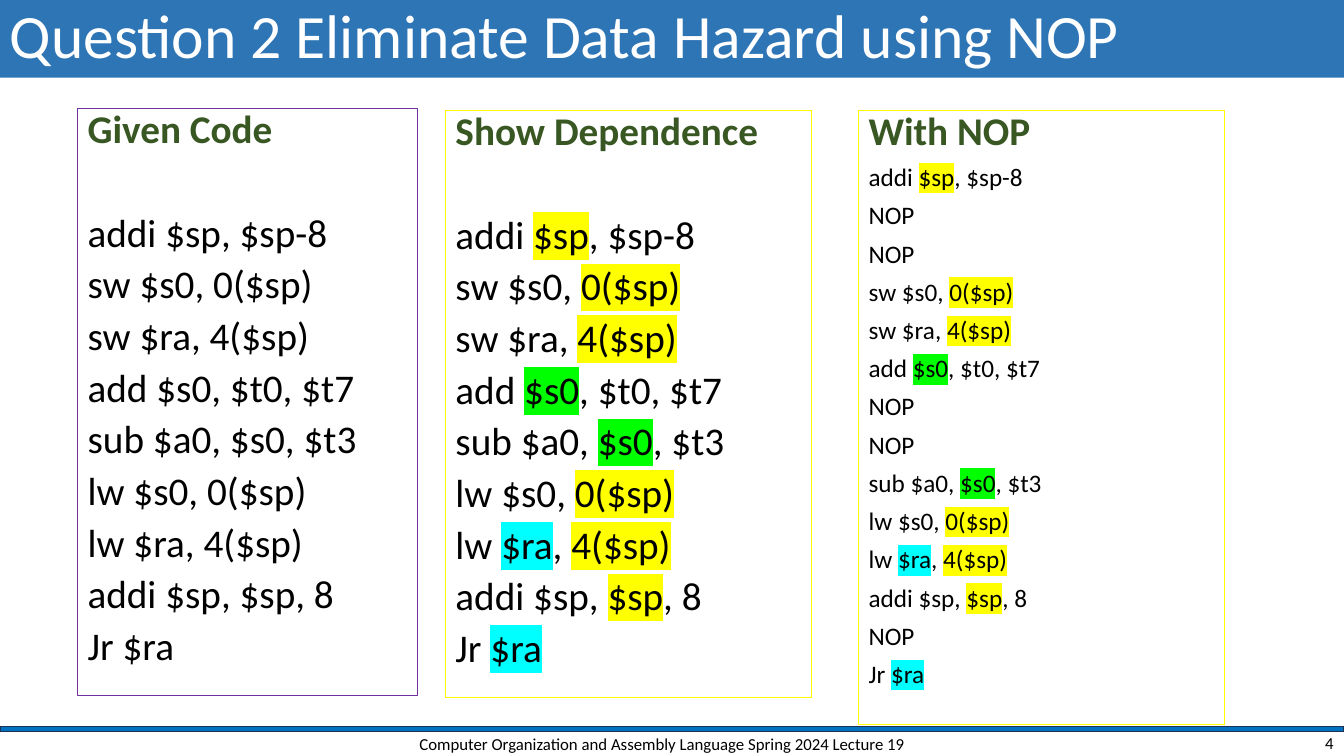
from pptx import Presentation
from pptx.dml.color import RGBColor
from pptx.enum.shapes import MSO_SHAPE
from pptx.enum.text import MSO_ANCHOR, PP_ALIGN
from pptx.oxml import parse_xml
from pptx.oxml.ns import nsdecls
from pptx.util import Cm, Pt

THEME = {
    "font": "Calibri", "title_size": 44, "code_size": 28, "nop_size": 18, "footer_size": 12,
    "title_fill": "2E75B6", "title_text": "FFFFFF", "heading": "385723", "text": "000000",
    "rule": "0070C0", "rule_line": "1E3256", "given_line": "7030A0", "answer_line": "FFFF00",
    "marks": {"y": "FFFF00", "g": "00FF00", "c": "00FFFF"},
}


def add_box(s, at, fill=None, line=None, width=0.75, anchor=MSO_ANCHOR.TOP):
    sp = s.shapes.add_shape(MSO_SHAPE.RECTANGLE, *[Cm(v) for v in at])
    sp.shadow.inherit = False
    for part, color in ((sp.fill, fill), (sp.line.fill, line)):
        if color:
            part.solid()
            part.fore_color.rgb = RGBColor.from_string(color)
        else:
            part.background()
    if line:
        sp.line.width = Pt(width)
    tf = sp.text_frame
    for name, value in {"word_wrap": True, "vertical_anchor": anchor}.items():
        setattr(tf, name, value)
    return tf


def add_run(p, text, size, color, bold=False, mark=None):
    r = p.add_run()
    r.text = text
    for name, value in {"name": THEME["font"], "size": Pt(size), "bold": bold}.items():
        setattr(r.font, name, value)
    r.font.color.rgb = RGBColor.from_string(color)
    if mark:
        fill = r.font._element.find("{*}solidFill")
        fill.addnext(parse_xml(
            f'<a:highlight {nsdecls("a")}><a:srgbClr val="{mark}"/></a:highlight>'))


prs = Presentation()
prs.slide_width, prs.slide_height = Cm(33.87), Cm(19.05)
s = prs.slides.add_slide(prs.slide_layouts[6])

add_box(s, (0, 18.31, 33.87, 0.13), THEME["rule"], THEME["rule_line"], 1)

labels = [
    ("Question 2 Eliminate Data Hazard using NOP", (0, 0, 33.87, 1.96),
     THEME["title_fill"], THEME["title_size"], THEME["title_text"], PP_ALIGN.LEFT, 0.9),
    ("Computer Organization and Assembly Language Spring 2024 Lecture 19",
     (9.96, 18.39, 13.46, 0.71), None, THEME["footer_size"], THEME["text"], PP_ALIGN.CENTER, 1.0),
    ("4", (26.24, 18.39, 7.62, 0.64),
     None, THEME["footer_size"], THEME["text"], PP_ALIGN.RIGHT, 1.0),
]
for text, at, fill, size, color, align, spacing in labels:
    p = add_box(s, at, fill, anchor=MSO_ANCHOR.MIDDLE).paragraphs[0]
    for name, value in {"alignment": align, "line_spacing": spacing}.items():
        setattr(p, name, value)
    add_run(p, text, size, color)

code = [
    "addi |y$sp|, $sp-8",
    "sw $s0, |y0($sp)",
    "sw $ra, |y4($sp)",
    "add |g$s0|, $t0, $t7",
    "sub $a0, |g$s0|, $t3",
    "lw $s0, |y0($sp)",
    "lw |c$ra|, |y4($sp)",
    "addi $sp, |y$sp|, 8",
    "Jr |c$ra",
]
nops_after = {0: 2, 3: 2, 7: 1}
code_with_nops = []
for i, line in enumerate(code):
    code_with_nops += [line] + ["NOP"] * nops_after.get(i, 0)

columns = [
    ("Given Code", (1.96, 2.74, 8.56, 14.78), THEME["given_line"],
     code, THEME["code_size"], 47, False),
    ("Show Dependence", (11.23, 2.79, 9.22, 14.78), THEME["answer_line"],
     code, THEME["code_size"], 47, True),
    ("With NOP", (21.64, 2.79, 9.22, 15.47), THEME["answer_line"],
     code_with_nops, THEME["nop_size"], 10, True),
]
for heading, at, border, lines, size, first_gap, marked in columns:
    tf = add_box(s, at, line=border)
    p = tf.paragraphs[0]
    for name, value in {"alignment": PP_ALIGN.LEFT, "line_spacing": 0.8}.items():
        setattr(p, name, value)
    add_run(p, heading, THEME["code_size"], THEME["heading"], bold=True)
    for i, line in enumerate(lines):
        p = tf.add_paragraph()
        gap = 10 if i else first_gap
        for name, value in {"alignment": PP_ALIGN.LEFT, "line_spacing": 0.8,
                            "space_before": Pt(gap)}.items():
            setattr(p, name, value)
        pieces = line.split("|")
        if not marked:
            pieces = ["".join(t[1:] if k % 2 else t for k, t in enumerate(pieces))]
        for k, piece in enumerate(pieces):
            if k % 2:
                add_run(p, piece[1:], size, THEME["text"], mark=THEME["marks"][piece[0]])
            elif piece:
                add_run(p, piece, size, THEME["text"])

prs.save("out.pptx")
